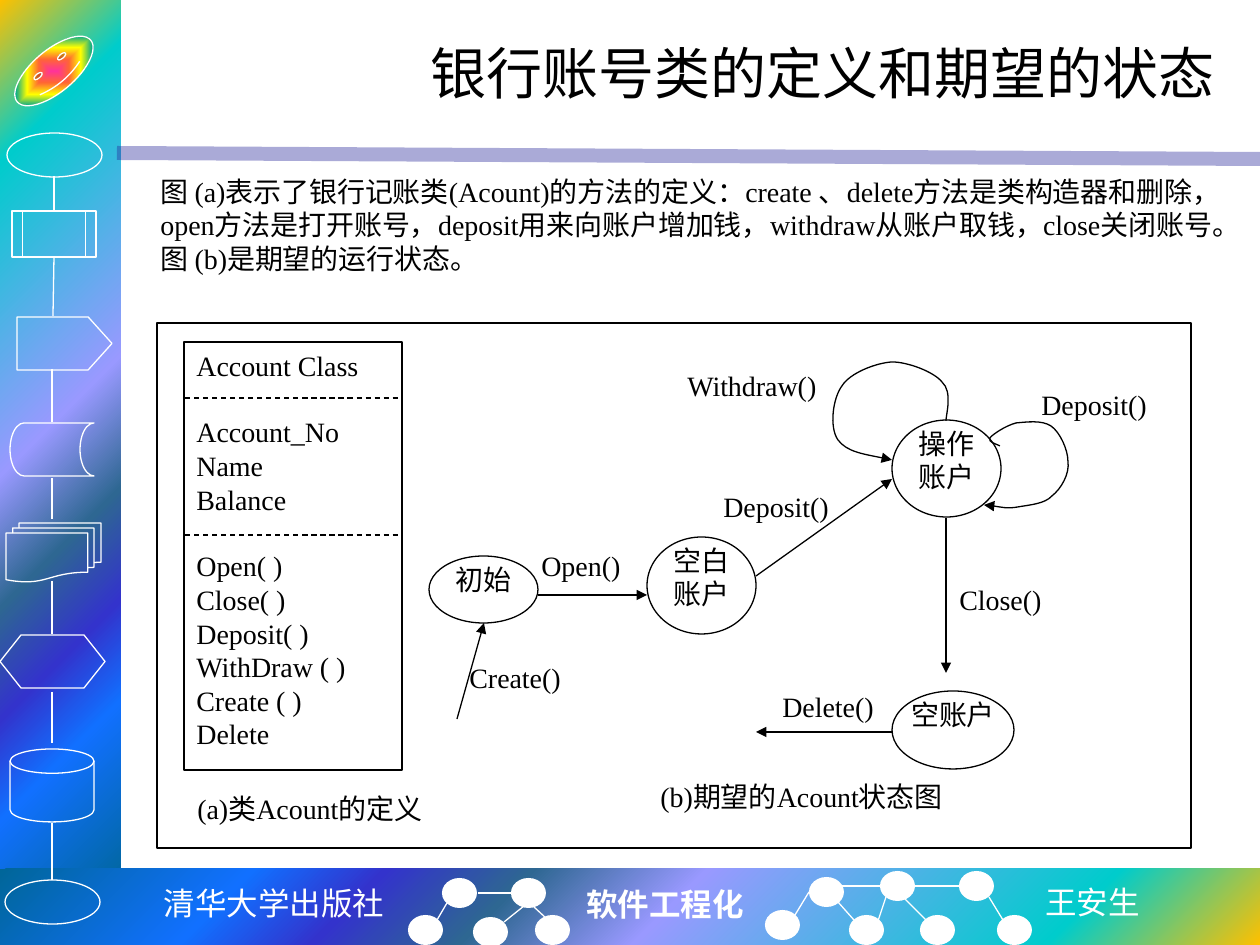
import pptx
import pptx.util
import pptx.dml.color
import pptx.enum.dml
import pptx.enum.shapes
import pptx.enum.text
import pptx.oxml
import pptx.oxml.ns
from dataclasses import dataclass
from lxml import etree

PX = 914400 / 126
KIND = pptx.enum.shapes.MSO_SHAPE
ALIGN = pptx.enum.text.PP_ALIGN
ANCHOR = pptx.enum.text.MSO_ANCHOR


@dataclass
class Theme:
    black: str = "000000"
    white: str = "FFFFFF"
    rule: str = "262699"
    latin: str = "Times New Roman"
    mono: str = "Noto Sans Mono"
    han: str = "Noto Sans CJK SC"
    title: int = 32
    body: int = 16
    foot: int = 18
    thin: float = 0.75
    thick: int = 8
    bars: tuple = ((0, "FFC000"), (16, "00CCCC"), (47, "9999FF"), (60, "2E6792"),
                   (71, "3333CC"), (81, "1170FF"), (100, "006699"))
    badge: tuple = ((0, "FF3399"), (25, "FF6633"), (50, "FFFF00"),
                    (75, "01A78F"), (100, "3366FF"))


T = Theme()

TITLE = "银行账号类的定义和期望的状态"
BODY = ("图 (a)表示了银行记账类(Acount)的方法的定义：create 、delete方法是类构造器和删除，"
        "open方法是打开账号，deposit用来向账户增加钱，withdraw从账户取钱，"
        "close关闭账号。图 (b)是期望的运行状态。")
CLASS = [["Account Class"], ["Account_No", "Name", "Balance"],
         ["Open( )", "Close( )", "Deposit( )", "WithDraw ( )", "Create ( )", "Delete"]]
STATES = [((429, 556, 109, 67), ["初始"]), ((647, 537, 109, 97), ["空白", "账户"]),
          ((892, 420, 109, 97), ["操作", "账户"]), ((892, 691, 122, 78), ["空账户"])]
LABELS = [((529, 542, 136, 58), "Open()"), ((711, 483, 164, 58), "Deposit()"),
          ((675, 362, 190, 58), "Withdraw()"), ((1029, 381, 164, 58), "Deposit()"),
          ((947, 576, 164, 58), "Close()"), ((457, 654, 136, 58), "Create()"),
          ((770, 683, 136, 58), "Delete()"), ((185, 785, 300, 78), "(a)类Acount的定义"),
          ((648, 773, 408, 88), "(b)期望的Acount状态图")]
MOVES = [(538, 595, 647, 595), (756, 576, 892, 479), (946, 518, 946, 673),
         (457, 719, 484, 623), (892, 732, 756, 732)]
LOOPS = [
    [(946, 421), (946, 415), (953, 392), (942, 382), (934, 372), (908, 362), (892, 362),
     (876, 363), (850, 373), (842, 386), (833, 398), (829, 427), (838, 440),
     (847, 452), (869, 455), (892, 460)],
    [(1000, 446), (999, 445), (987, 442), (990, 438), (992, 435), (1005, 426), (1016, 423),
     (1027, 422), (1042, 420), (1051, 426), (1060, 432), (1068, 450), (1068, 461),
     (1070, 474), (1061, 489), (1052, 496), (1045, 504), (1029, 505), (1018, 507),
     (1007, 509), (990, 505), (984, 505)]]
FLOW = [(KIND.OVAL, (7, 133, 95, 44)), (KIND.FLOWCHART_PREDEFINED_PROCESS, (12, 211, 84, 46)),
        (KIND.PENTAGON, (17, 317, 95, 53)), (KIND.FLOWCHART_STORED_DATA, (10, 423, 84, 53)),
        (KIND.FLOWCHART_MULTIDOCUMENT, (6, 523, 95, 59)),
        (KIND.FLOWCHART_PREPARATION, (0, 635, 105, 53)),
        (KIND.FLOWCHART_MAGNETIC_DISK, (10, 749, 84, 73)), (KIND.OVAL, (5, 880, 95, 44))]
STEMS = [(54, 176, 54, 212), (54, 258, 53, 316), (52, 369, 52, 422), (52, 478, 52, 519),
         (52, 581, 52, 634), (52, 692, 52, 743), (52, 823, 52, 880)]
DOTS = [(442, 878), (511, 878), (408, 915), (473, 917), (535, 915), (765, 910), (809, 877),
        (849, 915), (880, 871), (920, 915), (959, 871), (997, 915)]
LINKS = [(437, 920, 447, 903), (504, 922, 524, 906), (512, 893, 478, 893),
         (547, 919, 534, 907), (854, 920, 838, 902), (926, 920, 901, 895),
         (1003, 920, 989, 897), (878, 921, 886, 897), (915, 886, 959, 886),
         (795, 915, 809, 892), (842, 886, 886, 886)]
FOOT = [((150, 878, 248, 50), "清华大学出版社", dict(font=T.mono, align=ALIGN.CENTER)),
        ((574, 879, 184, 50), "软件工程化", dict(bold=True)),
        ((1033, 877, 121, 50), "王安生", dict(font=T.han))]

deck = pptx.Presentation()
deck.slide_width, deck.slide_height = (pptx.util.Emu(round(n * PX)) for n in (1260, 945))
slide = deck.slides.add_slide(deck.slide_layouts[6])
shapes = slide.shapes


def emu(*nums):
    return [pptx.util.Emu(round(n * PX)) for n in nums]


def rgb(code):
    return pptx.dml.color.RGBColor.from_string(code)


def sub(parent, tag, **attrs):
    return etree.SubElement(parent, pptx.oxml.ns.qn(tag), attrs)


def text(box, paras, host=None, size=T.body, font=T.latin, color=T.black, bold=False,
         align=ALIGN.LEFT, anchor=ANCHOR.TOP, wrap=True, gaps=()):
    frame = (host or shapes.add_textbox(*emu(*box))).text_frame
    frame.word_wrap, frame.vertical_anchor = wrap, anchor
    for i, words in enumerate(paras):
        para = frame.paragraphs[0] if i == 0 else frame.add_paragraph()
        para.alignment = align
        if i in gaps:
            para.space_before = pptx.util.Pt(19)
        run = para.add_run()
        run.text = words
        run.font.size, run.font.name, run.font.bold = pptx.util.Pt(size), font, bold
        run.font.color.rgb = rgb(color)
        sub(run.font._element, "a:ea", typeface=T.mono if font == T.mono else T.han)


def ink(item, color, width=T.thin):
    item.line.color.rgb = rgb(color)
    item.line.width = pptx.util.Pt(width)


def shape(kind, box, line=None, fill=None):
    item = shapes.add_shape(kind, *emu(*box))
    item.shadow.inherit = False
    if fill:
        item.fill.solid()
        item.fill.fore_color.rgb = rgb(fill)
    else:
        item.fill.background()
    if line:
        ink(item, line)
    else:
        item.line.fill.background()
    return item


def blend(item, stops, form, sides):
    props = item.fill._xPr
    props.remove(props.find(pptx.oxml.ns.qn("a:noFill")))
    grad = etree.Element(pptx.oxml.ns.qn("a:gradFill"), rotWithShape="1")
    row = sub(grad, "a:gsLst")
    for pos, color in stops:
        sub(sub(row, "a:gs", pos=str(pos * 1000)), "a:srgbClr", val=color)
    focus = {k: str(v * 1000) for k, v in zip("ltrb", sides)}
    sub(sub(grad, "a:path", **{"path": form}), "a:fillToRect", **focus)
    props.insert(2, grad)


def arrow(item):
    sub(item.line._get_or_add_ln(), "a:tailEnd", type="triangle")


def line(ends, color=T.black, width=T.thin):
    item = shapes.add_connector(pptx.enum.shapes.MSO_CONNECTOR.STRAIGHT, *emu(*ends))
    ink(item, color, width)
    sub(item._element.spPr, "a:effectLst")
    return item


def curve(knots):
    spots = [emu(*knot) for knot in knots]
    pen = shapes.build_freeform(*spots[0])
    pen.add_line_segments(spots[1:], close=False)
    item = pen.convert_to_shape()
    legs = list(item._element.spPr.iter(pptx.oxml.ns.qn("a:lnTo")))
    track = legs[0].getparent()
    for i in range(0, len(legs), 3):
        bend = sub(track, "a:cubicBezTo")
        for leg in legs[i:i + 3]:
            bend.append(leg[0])
            track.remove(leg)
    item.shadow.inherit = False
    item.fill.background()
    ink(item, T.black)
    arrow(item)


def frame():
    for box, sides in (((0, 0, 121, 893), (0, 0, 100, 100)),
                       ((0, 869, 1260, 76), (100, 100, 0, 0))):
        blend(shape(KIND.RECTANGLE, box), T.bars, "circle", sides)
    rule = line((117, 153, 1260, 159), T.rule, T.thick)
    tint = rule.line._get_or_add_ln().find(".//" + pptx.oxml.ns.qn("a:srgbClr"))
    sub(tint, "a:alpha", val="39000")
    badge = shape(KIND.SMILEY_FACE, (6, 50, 96, 42), T.white)
    badge.adjustments[0] = 0.05
    badge.rotation = -40
    blend(badge, T.badge, "shape", (50, 50, 50, 50))
    for kind, box in FLOW:
        item = shape(kind, box, T.white)
        if kind == KIND.PENTAGON:
            item.adjustments[0] = 0.45
    for spot in DOTS:
        shape(KIND.OVAL, (*spot, 35, 30), fill=T.white)
    for ends in STEMS + LINKS:
        line(ends, T.white)
    for box, words, style in FOOT:
        text(box, [words], size=T.foot, color=T.white, wrap=False, **style)


def chart():
    shape(KIND.RECTANGLE, (157, 323, 1034, 525), T.black)
    box = (184, 342, 218, 428)
    rows = [row for part in CLASS for row in part]
    text(box, rows, host=shape(KIND.RECTANGLE, box, T.black),
         gaps=(len(CLASS[0]), len(CLASS[0]) + len(CLASS[1])))
    for y in (398, 535):
        dash = line((185, y, 402, y))
        dash.line.dash_style = pptx.enum.dml.MSO_LINE.DASH
    for box, words in STATES:
        shape(KIND.OVAL, box, T.black)
        text(box, words, align=ALIGN.CENTER)
    for ends in MOVES:
        arrow(line(ends))
    for knots in LOOPS:
        curve(knots)
    for box, words in LABELS:
        text(box, [words])


frame()
text((157, 21, 1071, 102), [TITLE], size=T.title, align=ALIGN.RIGHT, anchor=ANCHOR.MIDDLE)
text((148, 168, 1080, 115), [BODY])
chart()
deck.save("out.pptx")
